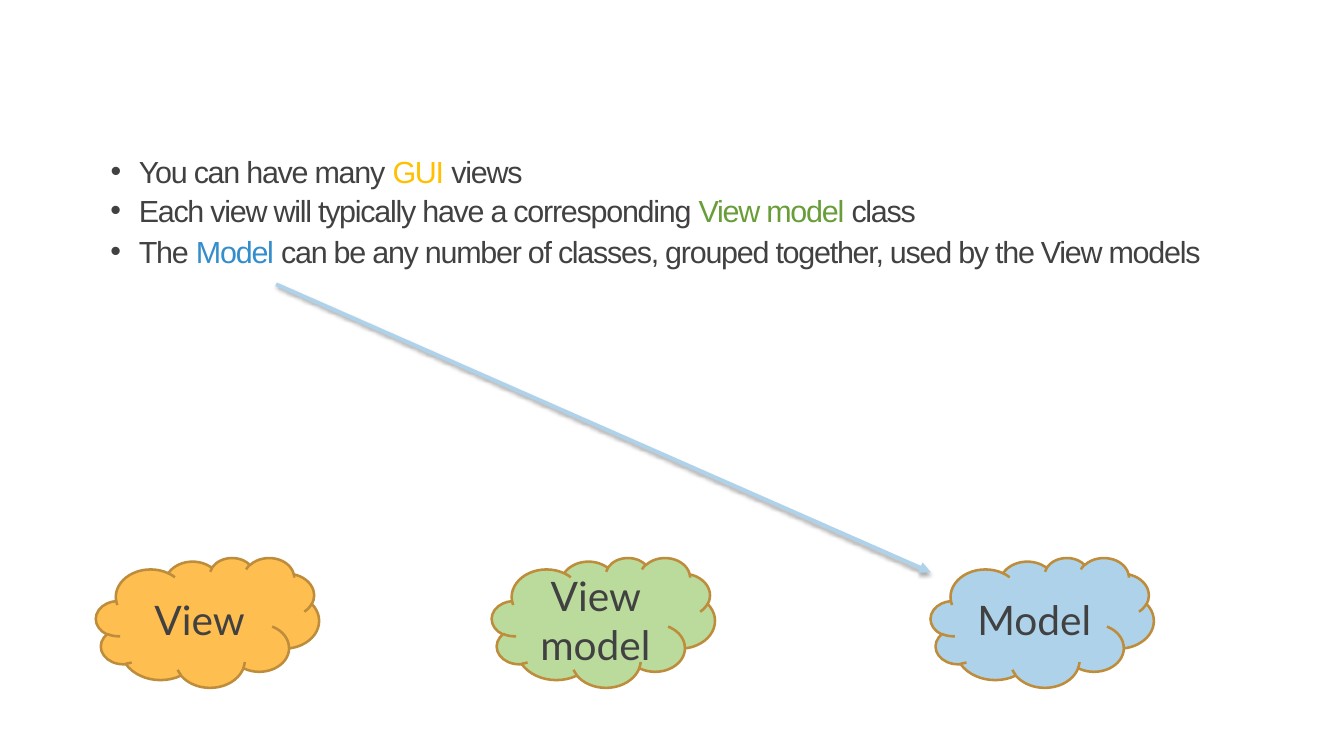
import pptx
import pptx.util
import pptx.dml.color
import pptx.enum.shapes
import pptx.enum.text
import pptx.oxml
import pptx.oxml.ns
from pptx.util import Inches

THEME = {
    "text": "414141", "outline": "BD8D3B", "arrow": "AED2EA",
    "view": "FFBE50", "view_model": "BADB9C", "model": "AED2EA",
    "view_text": "FFC000", "view_model_text": "699D39", "model_text": "348ECB",
    "cloud_font": "Lato", "cloud_size": 32,
    "bullet_font": "Arial", "bullet_size": 24,
}


def rgb(name):
    return pptx.dml.color.RGBColor.from_string(THEME[name])


def add_xml(parent, xml):
    ns = pptx.oxml.ns.nsdecls("a")
    parent.append(pptx.oxml.parse_xml(xml.replace(" ", f" {ns} ", 1)))


prs = pptx.Presentation()
prs.slide_width, prs.slide_height = Inches(14.7), Inches(8.27)
s = prs.slides.add_slide(prs.slide_layouts[6])

clouds = [(1.05, "View", "view"), (5.38, "View model", "view_model"), (10.18, "Model", "model")]
for left, label, fill in clouds:
    sp = s.shapes.add_shape(pptx.enum.shapes.MSO_SHAPE.CLOUD,
                            Inches(left), Inches(6.1), Inches(2.44), Inches(1.42))
    sp.shadow.inherit = False
    sp.fill.solid()
    sp.fill.fore_color.rgb = rgb(fill)
    sp.line.color.rgb = rgb("outline")
    sp.line.width = pptx.util.Pt(2)
    tf = sp.text_frame
    tf.word_wrap = True
    tf.vertical_anchor = pptx.enum.text.MSO_ANCHOR.MIDDLE
    p = tf.paragraphs[0]
    p.alignment = pptx.enum.text.PP_ALIGN.CENTER
    p.font.name = THEME["cloud_font"]
    p.font.size = pptx.util.Pt(THEME["cloud_size"])
    r = p.add_run()
    r.text = label
    r.font.color.rgb = rgb("text")

arrow = s.shapes.add_connector(pptx.enum.shapes.MSO_CONNECTOR.STRAIGHT,
                               Inches(3.02), Inches(3.11), Inches(10.18), Inches(6.26))
arrow.line.color.rgb = rgb("arrow")
arrow.line.width = pptx.util.Pt(3)
add_xml(arrow.line._get_or_add_ln(), '<a:tailEnd type="triangle"/>')
add_xml(arrow._element.spPr,
        '<a:effectLst ><a:outerShdw blurRad="39370" dist="22860" dir="5400000" rotWithShape="0">'
        '<a:srgbClr val="000000"><a:alpha val="35000"/></a:srgbClr></a:outerShdw></a:effectLst>')

bullets = [
    (1.21, 1.74, 10.47, 0.34, 0, True,
     [("You can have many ", "text"), ("GUI", "view_text"), (" views", "text")]),
    (1.11, 2.12, 9.06, 0.44, None, False,
     [("Each view will typically have a corresponding ", "text"),
      ("View model", "view_model_text"), (" class", "text")]),
    (1.11, 2.57, 12.62, 0.44, None, True,
     [("The ", "text"), ("Model", "model_text"),
      (" can be any number of classes, grouped together, used by the View models", "text")]),
]
for left, top, width, height, inset, wrap, runs in bullets:
    tf = s.shapes.add_textbox(Inches(left), Inches(top), Inches(width), Inches(height)).text_frame
    tf.word_wrap = wrap
    tf.auto_size = pptx.enum.text.MSO_AUTO_SIZE.SHAPE_TO_FIT_TEXT
    if inset is not None:
        tf.margin_left = tf.margin_top = tf.margin_right = tf.margin_bottom = Inches(inset)
    p = tf.paragraphs[0]
    p.line_spacing = 0.83
    p.space_before = pptx.util.Pt(4.8)
    pPr = p._p.get_or_add_pPr()
    pPr.set("marL", str(Inches(0.31)))
    pPr.set("indent", str(Inches(-0.31)))
    add_xml(pPr, '<a:buFont typeface="Arial"/>')
    add_xml(pPr, '<a:buChar char="•"/>')
    p.font.name = THEME["bullet_font"]
    p.font.size = pptx.util.Pt(THEME["bullet_size"])
    for text, color in runs:
        r = p.add_run()
        r.text = text
        r.font.color.rgb = rgb(color)
        r._r.get_or_add_rPr().set("spc", "-100")

prs.save("out.pptx")
